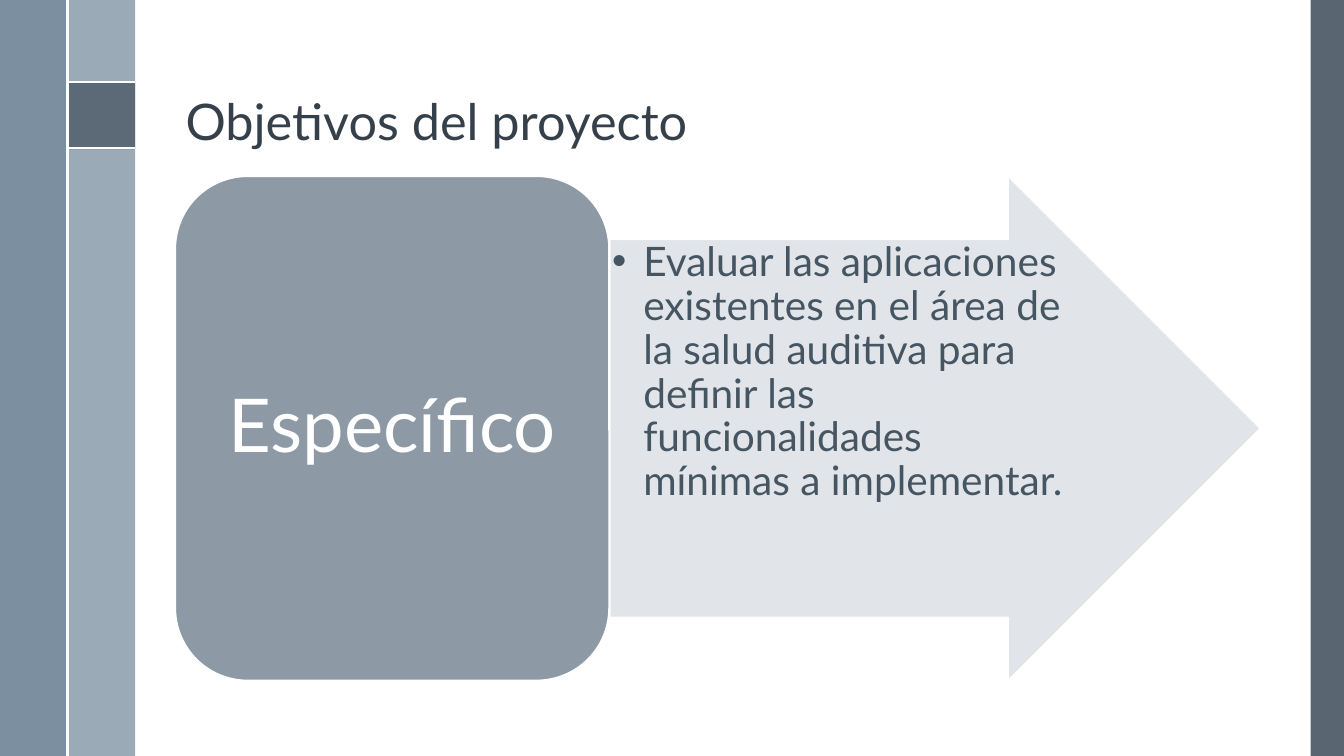
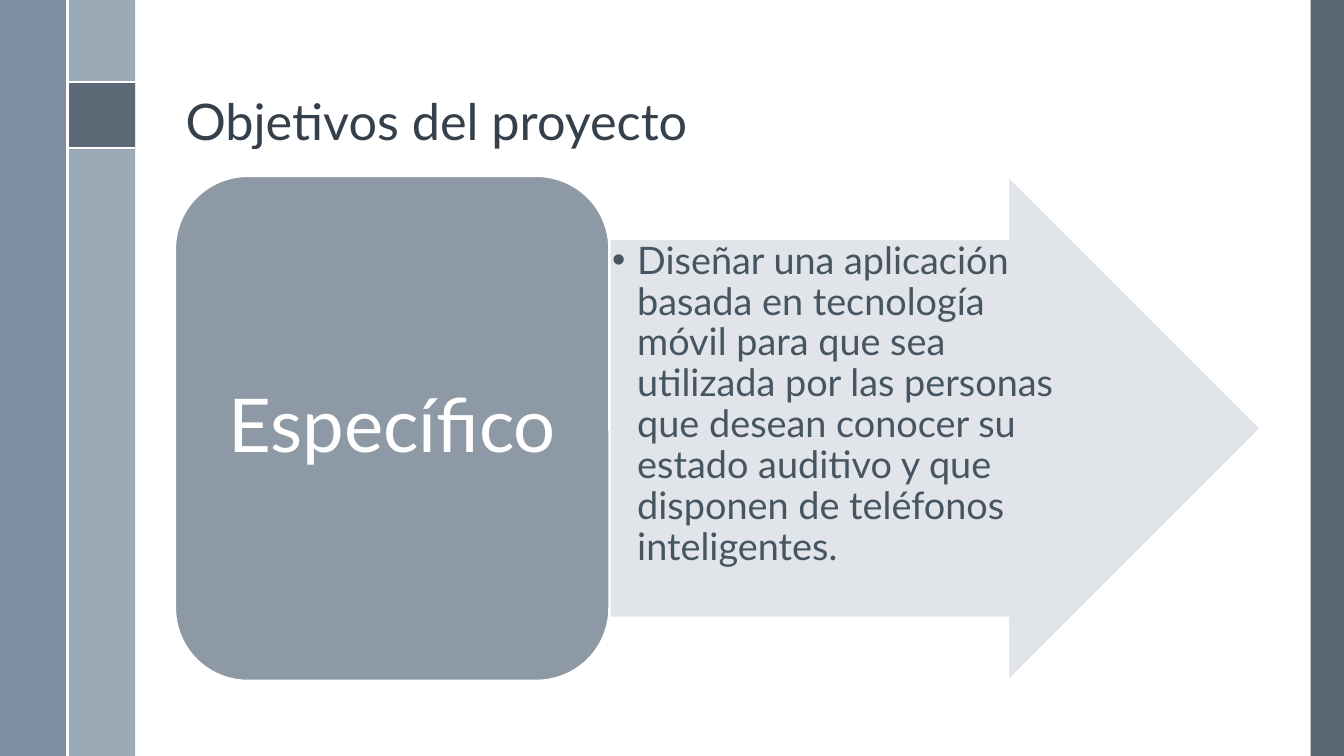
from pptx import Presentation
from pptx import util as u
from pptx.dml.color import RGBColor
from pptx.enum import shapes, text
from pptx.oxml import parse_xml
from pptx.oxml.ns import nsdecls, qn

FONT = "Lato"
DARK, PALE, BLUE = "475562", "9BAAB7", "6A8093"
INK, BODY, CARD, ARROW, WHITE = "35404A", "465562", "8D9AA6", "DEE2E6", "FFFFFF"
W, H, BAND = 13.33, 7.5, 0.67
LEFT, TOP, TALL = 1.74, 1.75, 5
CARD_W, ARROW_X, ARROW_W = 4.3, 6.05, 6.45

BANDS = [
    (13, 0, 0.33, H, DARK, 90),
    (BAND, 0, BAND, H, PALE, 100),
    (0, 0, BAND, H, BLUE, 88),
    (BAND, 0.81, BAND, BAND, DARK, 75),
]
RULES = [
    (BAND, 0.81, 2 * BAND, 0.81),
    (BAND, 1.47, 2 * BAND, 1.47),
    (BAND, 0, BAND, H),
]
TITLE, LABEL = "Objetivos del proyecto", "Específico"
GOALS = [
    ("Evaluar las aplicaciones existentes en el área de la salud auditiva "
     "para definir las funcionalidades mínimas a implementar.", 29, 0.31),
    ("Diseñar una aplicación basada en tecnología móvil para que sea utilizada "
     "por las personas que desean conocer su estado auditivo y que disponen de "
     "teléfonos inteligentes.", 27, 0.25),
]


def color(code):
    return RGBColor.from_string(code)


def place(shape, *box):
    shape.left, shape.top, shape.width, shape.height = map(u.Inches, box)


def block(slide, kind, box, fill, alpha=100, line=None):
    shape = slide.shapes.add_shape(kind, *map(u.Inches, box))
    shape.shadow.inherit = False
    shape.fill.solid()
    shape.fill.fore_color.rgb = color(fill)
    if alpha < 100:
        tint = shape.element.spPr.find(qn("a:solidFill"))[0]
        tint.append(parse_xml(f'<a:alpha {nsdecls("a")} val="{alpha * 1000}"/>'))
    if line:
        shape.line.color.rgb = color(line)
        shape.line.width = u.Pt(1)
    else:
        shape.line.fill.background()
    return shape


def rule(slide, ends):
    line = slide.shapes.add_connector(
        shapes.MSO_CONNECTOR.STRAIGHT, *map(u.Inches, ends))
    line.line.color.rgb = color(WHITE)
    line.line.width = u.Pt(1.5)
    line.element.spPr.append(parse_xml(f'<a:effectLst {nsdecls("a")}/>'))
    return line


def write(shape, words, size, ink, align, anchor, pads=(0.1, 0.05)):
    frame = shape.text_frame
    frame.text = words
    frame.word_wrap = True
    frame.auto_size = text.MSO_AUTO_SIZE.NONE
    frame.vertical_anchor = anchor
    frame.margin_left = frame.margin_right = u.Inches(pads[0])
    frame.margin_top = frame.margin_bottom = u.Inches(pads[1])
    para = frame.paragraphs[0]
    para.alignment = align
    para.line_spacing = 0.9
    para.space_before = u.Pt(0)
    font = para.runs[0].font
    font.name, font.size, font.color.rgb = FONT, u.Pt(size), color(ink)
    return para


def dress(slide, layout):
    rect = shapes.MSO_SHAPE.RECTANGLE
    parts = [block(slide, rect, box, fill, alpha)
             for *box, fill, alpha in BANDS]
    parts += [rule(slide, ends) for ends in RULES]
    for num, part in enumerate(parts, 20):
        part.element[0][0].set("id", str(num))
        layout.shapes.element.append(part.element)


def build(slide, words, size, hang):
    side, mid = text.PP_ALIGN, text.MSO_ANCHOR
    write(slide.shapes.title, TITLE, 36, INK, side.LEFT, mid.BOTTOM)
    arrow = block(slide, shapes.MSO_SHAPE.RIGHT_ARROW,
                  (ARROW_X, TOP, ARROW_W, TALL), ARROW, 90, WHITE)
    arrow.adjustments[0], arrow.adjustments[1] = 0.75, 0.5
    goal = slide.placeholders[1]
    place(goal, ARROW_X, TOP + TALL / 8, 4.58, TALL * 0.75)
    para = write(goal, words, size, BODY, side.LEFT, mid.TOP, (0.02, 0.02))
    props = para.runs[0].font and para._p.get_or_add_pPr()
    props.set("marL", str(u.Inches(hang)))
    props.set("indent", str(-u.Inches(hang)))
    slide.shapes.element.append(goal.element)
    card = block(slide, shapes.MSO_SHAPE.ROUNDED_RECTANGLE,
                 (LEFT, TOP, CARD_W, TALL), CARD, 100, WHITE)
    write(card, LABEL, 53, WHITE, side.CENTER, mid.MIDDLE, (0.22, 0.11))


def main():
    deck = Presentation()
    deck.slide_width, deck.slide_height = u.Inches(W), u.Inches(H)
    layout = deck.slide_layouts[1]
    place(layout.placeholders[0], LEFT, 0.19, 10.7, 1.36)
    for num, goal in enumerate(GOALS):
        slide = deck.slides.add_slide(layout)
        if num == 0:
            dress(slide, layout)
        build(slide, *goal)
    deck.save("out.pptx")


if __name__ == "__main__":
    main()
